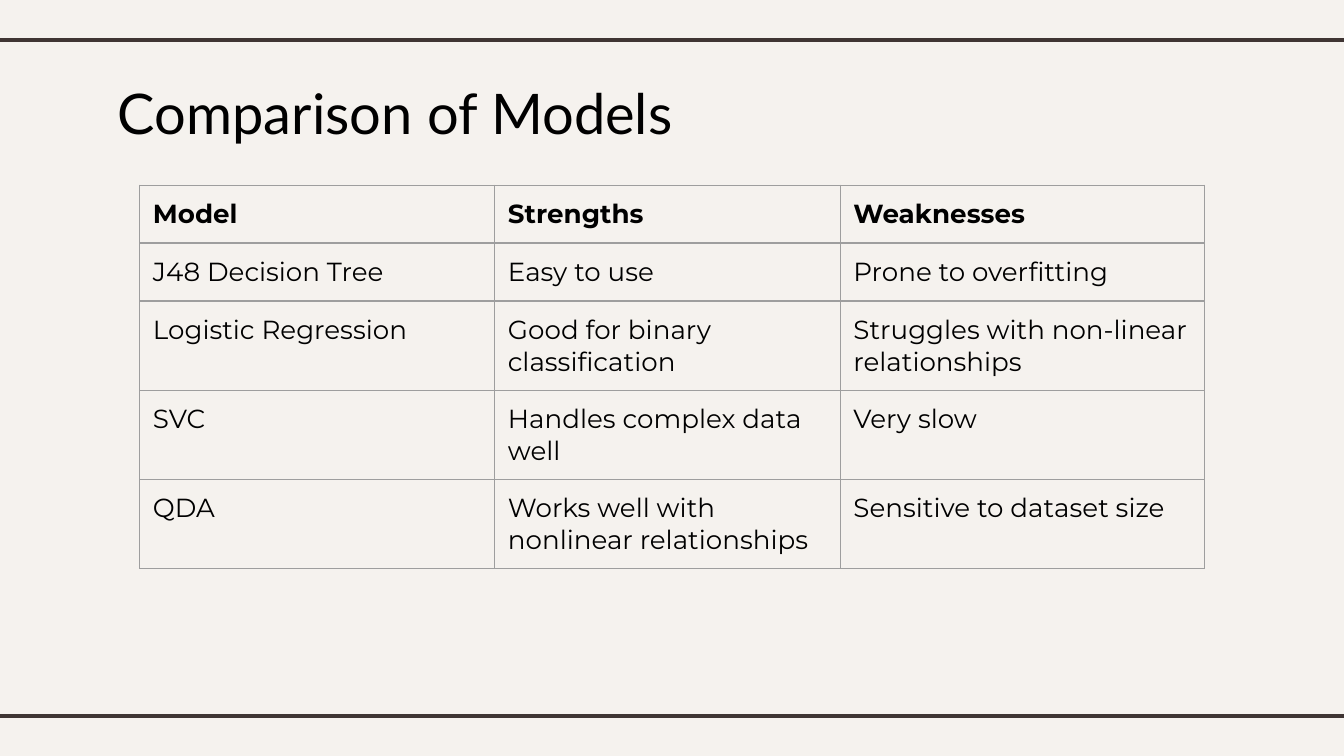
"""Build a slide that compares four models in a table."""
from dataclasses import dataclass

from lxml import etree
from pptx import Presentation
from pptx import util as u
from pptx.dml.color import RGBColor
from pptx.enum import shapes, text
from pptx.oxml import ns

INSET = u.Cm(0.25)
WIDTHS = (6.71, 6.53, 6.88)
ROW_H = 1.07


@dataclass
class Rule:
    y: float
    color: str = "3F3533"
    width: float = 2.25


@dataclass
class Row:
    model: str
    pro: str
    con: str
    bold: bool = False


RULES = (Rule(0.76), Rule(13.54))
ROWS = (
    Row("Model", "Strengths", "Weaknesses", True),
    Row("J48 Decision Tree", "Easy to use", "Prone to overfitting"),
    Row("Logistic Regression", "Good for binary classification",
        "Struggles with non-linear relationships"),
    Row("SVC", "Handles complex data well", "Very slow"),
    Row("QDA", "Works well with nonlinear relationships",
        "Sensitive to dataset size"),
)


def paint(target, color: str) -> None:
    target.rgb = RGBColor.from_string(color)


def write(frame, words: str, *, font: str, size: float,
          color: str = "000000", bold: bool = False) -> None:
    frame.word_wrap = True
    run = frame.paragraphs[0].add_run()
    run.text = words
    run.font.name = font
    run.font.size = u.Pt(size)
    run.font.bold = bold
    paint(run.font.color, color)


def pad(box) -> None:
    box.margin_left = box.margin_right = INSET
    box.margin_top = box.margin_bottom = INSET
    box.vertical_anchor = text.MSO_ANCHOR.TOP


def draw_rule(slide, rule: Rule) -> None:
    line = slide.shapes.add_connector(
        shapes.MSO_CONNECTOR.STRAIGHT,
        u.Cm(-0.2), u.Cm(rule.y), u.Cm(25.6), u.Cm(rule.y))
    line.line.width = u.Pt(rule.width)
    paint(line.line.color, rule.color)
    etree.SubElement(line._element.spPr, ns.qn("a:effectLst"))


def edge(cell, color: str = "9E9E9E", width: float = 0.75) -> None:
    props = cell._tc.get_or_add_tcPr()
    for side in ("L", "R", "T", "B"):
        line = etree.SubElement(
            props, ns.qn(f"a:ln{side}"), w=str(u.Pt(width)))
        fill = etree.SubElement(line, ns.qn("a:solidFill"))
        etree.SubElement(fill, ns.qn("a:srgbClr"), val=color)


def draw_table(slide, rows: tuple[Row, ...]) -> None:
    table = slide.shapes.add_table(
        len(rows), len(WIDTHS), u.Cm(2.64), u.Cm(3.5),
        u.Cm(sum(WIDTHS)), u.Cm(ROW_H * len(rows))).table
    table.first_row = table.horz_banding = False
    for col, width in zip(table.columns, WIDTHS):
        col.width = u.Cm(width)
    for line, row in zip(table.rows, rows):
        line.height = u.Cm(ROW_H)
        for cell, words in zip(line.cells, (row.model, row.pro, row.con)):
            pad(cell)
            edge(cell)
            cell.fill.background()
            write(cell.text_frame, words, font="Montserrat", size=14,
                  bold=row.bold)


def main() -> None:
    deck = Presentation()
    deck.slide_width, deck.slide_height = u.Cm(25.4), u.Cm(14.29)
    slide = deck.slides.add_slide(deck.slide_layouts[6])
    back = slide.background.fill
    back.solid()
    paint(back.fore_color, "F5F2EE")
    for rule in RULES:
        draw_rule(slide, rule)
    title = slide.shapes.add_textbox(
        u.Cm(1.98), u.Cm(1.24), u.Cm(21.44), u.Cm(1.6)).text_frame
    pad(title)
    write(title, "Comparison of Models", font="Lato", size=30)
    draw_table(slide, ROWS)
    deck.save("out.pptx")


if __name__ == "__main__":
    main()
